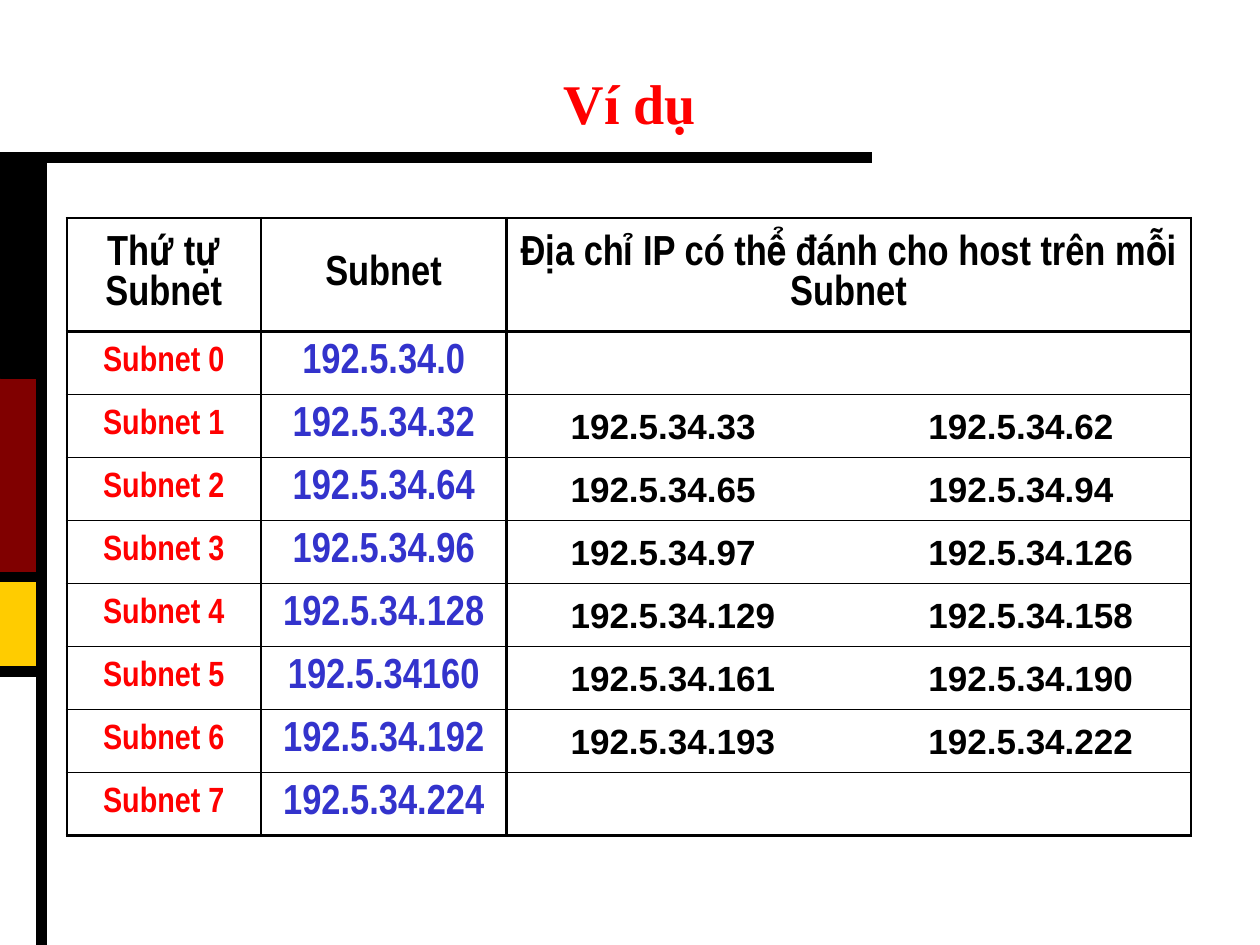
from lxml.etree import SubElement
from pptx import Presentation
from pptx.dml.color import RGBColor
from pptx.enum.shapes import MSO_CONNECTOR, MSO_SHAPE
from pptx.enum.text import MSO_ANCHOR, MSO_AUTO_SIZE, PP_ALIGN
from pptx.oxml.ns import qn
from pptx.util import Inches, Pt

BLACK, RED, BLUE = "000000", "FF0000", "3333CC"
RAIL = 0.33  # width of the colour rail on the left
RULE_TOP, MAROON_TOP, YELLOW_TOP, YELLOW_BOTTOM = 1.25, 3, 4.58, 5.33
TABLE_LEFT, TABLE_TOP = 0.53, 1.73
COLUMN_WIDTHS = [1.54, 1.95, 5.43]
HEADER_HEIGHT, ROW_HEIGHT = 0.9, 0.5
HOST_LEFTS = [4.43, 7.27]
HOST_OFFSET = 0.03  # from the top of a row to its host addresses

HEADINGS = ["Thứ tự Subnet", "Subnet",
            "Địa chỉ IP có thể đánh cho host trên mỗi Subnet"]
SUBNETS = ["192.5.34.0", "192.5.34.32", "192.5.34.64", "192.5.34.96",
           "192.5.34.128", "192.5.34160", "192.5.34.192", "192.5.34.224"]
HOST_RANGES = [(f"192.5.34.{start + 1}", f"192.5.34.{start + 30}")
               for start in range(32, 193, 32)]

HEADING_FORMAT = {"name": "Arial Narrow", "size": Pt(24), "bold": True}
ORDER_FORMAT = {**HEADING_FORMAT, "size": Pt(20)}
HOST_FORMAT = {"name": "Arial", "size": Pt(20), "bold": True}
TITLE_FORMAT = {"name": "Times New Roman", "size": Pt(32), "bold": True}


def paint(color_format, color):
    color_format.rgb = RGBColor.from_string(color)


def write(frame, text, font_format, color, align=PP_ALIGN.CENTER):
    paragraph = frame.paragraphs[0]
    paragraph.alignment = align
    run = paragraph.add_run()
    run.text = text
    for attribute, value in font_format.items():
        setattr(run.font, attribute, value)
    paint(run.font.color, color)
    return paragraph


def add_block(slide, top, bottom, color):
    block = slide.shapes.add_shape(MSO_SHAPE.RECTANGLE, 0, Inches(top),
                                   Inches(RAIL), Inches(bottom - top))
    block.shadow.inherit = False
    block.fill.solid()
    paint(block.fill.fore_color, color)
    paint(block.line.color, color)
    block.line.width = Pt(0.25)


def add_rule(slide, *ends):
    rule = slide.shapes.add_connector(MSO_CONNECTOR.STRAIGHT,
                                      *(Inches(end) for end in ends))
    paint(rule.line.color, BLACK)
    rule.line.width = Pt(6)
    SubElement(rule._element.spPr, qn("a:effectLst"))


def add_decoration(slide):
    add_block(slide, MAROON_TOP, YELLOW_TOP, "800000")
    add_block(slide, YELLOW_TOP, YELLOW_BOTTOM, "FFCC00")
    add_rule(slide, 0, RULE_TOP, 6.92, RULE_TOP)
    add_rule(slide, RAIL, RULE_TOP, RAIL, 7.5)
    add_block(slide, RULE_TOP, MAROON_TOP, BLACK)
    for height in (YELLOW_TOP, YELLOW_BOTTOM):
        add_rule(slide, 0, height, RAIL, height)


def fill_title(slide):
    title = slide.shapes.title
    title.left, title.top = 0, Inches(0.33)
    title.width, title.height = Inches(10), Inches(0.75)
    title.text_frame.vertical_anchor = MSO_ANCHOR.MIDDLE
    write(title.text_frame, "Ví dụ", TITLE_FORMAT, RED).line_spacing = 1.4


def set_borders(cell, top, bottom, side=1.47):
    properties = cell._tc.get_or_add_tcPr()
    for tag, width in (("a:lnL", side), ("a:lnR", side),
                       ("a:lnT", top), ("a:lnB", bottom)):
        border = SubElement(properties, qn(tag), w=str(Pt(width)))
        fill = SubElement(border, qn("a:solidFill"))
        SubElement(fill, qn("a:srgbClr"), val=BLACK)


def add_subnet_table(slide):
    last = len(SUBNETS)
    table = slide.shapes.add_table(
        last + 1, len(COLUMN_WIDTHS), Inches(TABLE_LEFT), Inches(TABLE_TOP),
        Inches(sum(COLUMN_WIDTHS)),
        Inches(HEADER_HEIGHT + last * ROW_HEIGHT)).table
    table.first_row = table.horz_banding = False
    for column, width in zip(table.columns, COLUMN_WIDTHS):
        column.width = Inches(width)
    for index, row in enumerate(table.rows):
        row.height = Inches(ROW_HEIGHT if index else HEADER_HEIGHT)
        for cell in row.cells:
            set_borders(cell, top=1.47 if index < 2 else 0.45,
                        bottom=1.47 if index in (0, last) else 0.45)
            cell.fill.background()
            cell.vertical_anchor = MSO_ANCHOR.MIDDLE
    for column, heading in enumerate(HEADINGS):
        write(table.cell(0, column).text_frame, heading, HEADING_FORMAT, BLACK)
    for number, subnet in enumerate(SUBNETS):
        order, address = (table.cell(number + 1, column) for column in (0, 1))
        write(order.text_frame, f"Subnet {number}", ORDER_FORMAT, RED)
        write(address.text_frame, subnet, HEADING_FORMAT, BLUE)


def add_host_address(slide, left, top, address):
    box = slide.shapes.add_textbox(Inches(left), Inches(top),
                                   Inches(1.92), Inches(0.44))
    box.text_frame.word_wrap = True
    box.text_frame.auto_size = MSO_AUTO_SIZE.SHAPE_TO_FIT_TEXT
    write(box.text_frame, address, HOST_FORMAT, BLACK, PP_ALIGN.LEFT)


def main():
    deck = Presentation()
    deck.slide_width, deck.slide_height = Inches(10), Inches(7.5)
    slide = deck.slides.add_slide(deck.slide_layouts.get_by_name("Title Only"))
    add_decoration(slide)
    fill_title(slide)
    add_subnet_table(slide)
    for number, addresses in enumerate(HOST_RANGES, start=1):
        top = TABLE_TOP + HEADER_HEIGHT + number * ROW_HEIGHT + HOST_OFFSET
        for left, address in zip(HOST_LEFTS, addresses):
            add_host_address(slide, left, top, address)
    deck.save("out.pptx")


if __name__ == "__main__":
    main()
